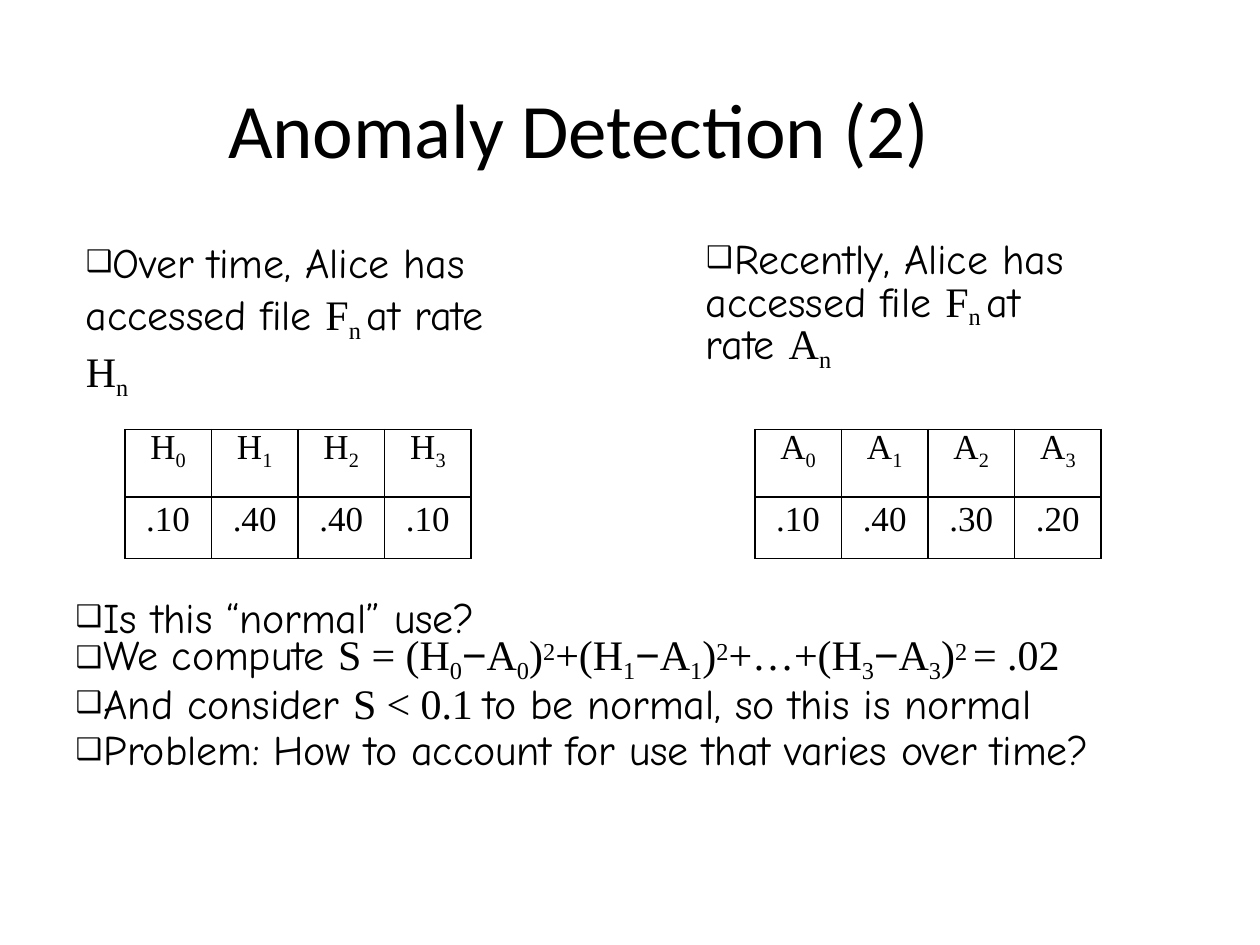
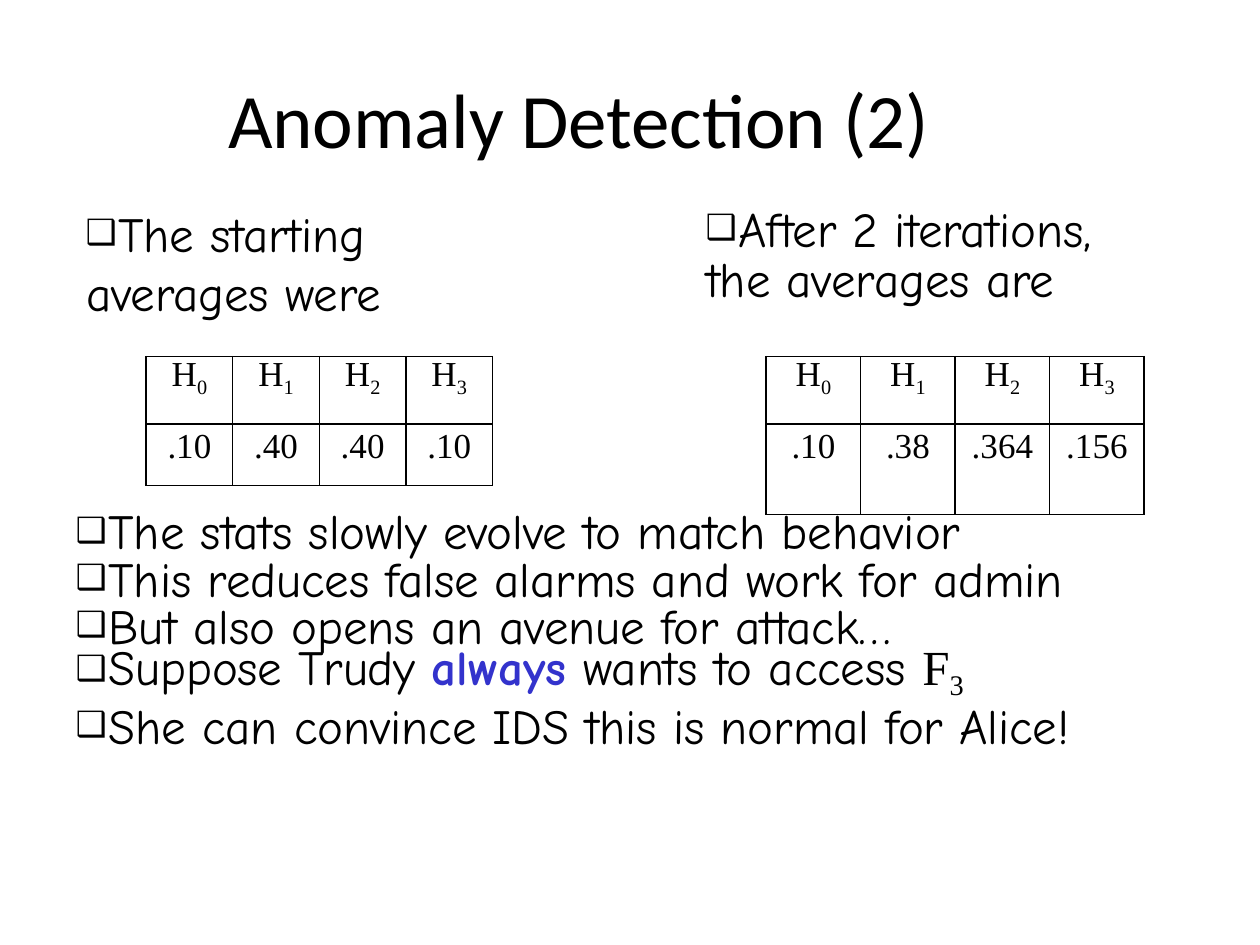
"""Build two slides that compare access-rate tables for anomaly detection."""
import dataclasses
import typing

import lxml.etree
import pptx
import pptx.dml.color
import pptx.enum.text
import pptx.oxml.ns
import pptx.util

Pt = pptx.util.Pt
qn = pptx.oxml.ns.qn
ALIGN = pptx.enum.text.PP_ALIGN
ANCHOR = pptx.enum.text.MSO_ANCHOR
BLACK = "000000"
BLUE = "3333CC"
HAND = "Comic Neue"
SERIF = "Times New Roman"
TITLE = "Anomaly Detection (2)"
MARKS: dict[str, dict[str, typing.Any]] = {
    "$": {"font": SERIF},
    "_": {"font": SERIF, "baseline": -21},
    "^": {"font": SERIF, "baseline": 24},
    "~": {"font": "Arial"},
    "*": {"color": BLUE, "bold": True},
}


@dataclasses.dataclass(frozen=True)
class Block:
    x: float
    y: float
    w: float
    h: float
    lines: tuple[str, ...]
    size: float
    margin: float = 0
    hang: float = 0
    bullet: bool = False
    spacing: tuple[typing.Any, ...] = (1.0,)


@dataclasses.dataclass(frozen=True)
class Rates:
    x: float
    y: float
    letter: str
    values: tuple[str, ...]
    col: float = 49.5
    value_height: float = 35.1


@dataclasses.dataclass(frozen=True)
class Page:
    title_y: float
    leads: tuple[Block, ...]
    tables: tuple[Rates, ...]
    findings: Block


def rgb(value: str) -> pptx.dml.color.RGBColor:
    return pptx.dml.color.RGBColor.from_string(value)


def add_run(p, text: str, *, size: float, font: str = HAND, color: str = BLACK,
            bold: bool = False, baseline: int = 0, tracking: int = -5) -> None:
    r = p.add_run()
    r.text = text
    r.font.size = Pt(size)
    r.font.name = font
    r.font.bold = bold
    r.font.color.rgb = rgb(color)
    props = r._r.get_or_add_rPr()
    props.set("spc", str(tracking))
    if baseline:
        props.set("baseline", str(baseline * 1000))


def add_marked(p, text: str, size: float, tracking: int = -5) -> None:
    for part in text.split("|"):
        marked = part[0] in MARKS
        add_run(p, part[1:] if marked else part, size=size, tracking=tracking,
                **(MARKS[part[0]] if marked else {}))


def add_bullet(p) -> None:
    props = p._p.get_or_add_pPr()
    for tag, key, value in (("a:buSzPct", "val", "71000"),
                            ("a:buFont", "typeface", "Arial"),
                            ("a:buChar", "char", "❑")):
        lxml.etree.SubElement(props, qn(tag)).set(key, value)


def set_frame(sp, x: float, y: float, w: float, h: float, anchor=ANCHOR.TOP):
    sp.left, sp.top, sp.width, sp.height = Pt(x), Pt(y), Pt(w), Pt(h)
    tf = sp.text_frame
    tf.word_wrap = True
    tf.auto_size = pptx.enum.text.MSO_AUTO_SIZE.NONE
    tf.vertical_anchor = anchor
    tf.margin_left = tf.margin_right = tf.margin_bottom = 0
    tf.margin_top = Pt(1)
    return tf


def fill_block(sp, block: Block) -> None:
    tf = set_frame(sp, block.x, block.y, block.w, block.h)
    for i, line in enumerate(block.lines):
        p = tf.paragraphs[0] if i == 0 else tf.add_paragraph()
        p.alignment = ALIGN.LEFT
        p.line_spacing = block.spacing[i]
        p.space_before = Pt(0 if i else 1)
        props = p._p.get_or_add_pPr()
        props.set("marL", str(Pt(block.margin)))
        props.set("indent", str(Pt(-block.hang)))
        if block.bullet:
            add_bullet(p)
        add_marked(p, line, block.size)


def add_borders(cell) -> None:
    props = cell._tc.get_or_add_tcPr()
    for side in "LRTB":
        ln = lxml.etree.SubElement(props, qn(f"a:ln{side}"), w=str(Pt(1)))
        fill = lxml.etree.SubElement(ln, qn("a:solidFill"))
        lxml.etree.SubElement(fill, qn("a:srgbClr"), val=BLACK)


def add_rates(slide, rates: Rates) -> None:
    heights = (38.6, rates.value_height)
    count = len(rates.values)
    table = slide.shapes.add_table(2, count, Pt(rates.x), Pt(rates.y),
                                   Pt(rates.col * count), Pt(sum(heights))).table
    table.first_row = table.horz_banding = False
    for row, height in zip(table.rows, heights):
        row.height = Pt(height)
    for i, value in enumerate(rates.values):
        table.columns[i].width = Pt(rates.col)
        for row, text in enumerate((f"${rates.letter}|_{i}", f"${value}")):
            cell = table.cell(row, i)
            cell.margin_left = cell.margin_right = 0
            cell.margin_top = cell.margin_bottom = 0
            add_borders(cell)
            cell.fill.background()
            p = cell.text_frame.paragraphs[0]
            p.alignment = ALIGN.CENTER
            p.line_spacing = Pt(23.9)
            add_marked(p, text, 20, tracking=5 if row == 0 else 0)


def add_page(prs, page: Page) -> None:
    slide = prs.slides.add_slide(prs.slide_layouts[1])
    title, body = slide.placeholders
    tf = set_frame(title, 130.3, page.title_y, 460, 54.7, ANCHOR.MIDDLE)
    p = tf.paragraphs[0]
    p.alignment = ALIGN.LEFT
    p.space_before = Pt(1)
    add_run(p, TITLE, size=44, font="Calibri")
    fill_block(body, page.findings)
    for lead in page.leads:
        fill_block(slide.shapes.add_textbox(0, 0, 0, 0), lead)
    for rates in page.tables:
        add_rates(slide, rates)


START = (".10", ".40", ".40", ".10")
PAGES = (
    Page(
        45.4,
        (Block(46.1, 133.2, 249.1, 88.6,
               ("Over time, Alice has accessed file |$F|_n |at rate |$H|_n",),
               24, margin=3, bullet=True, spacing=(1.03,)),
         Block(402.5, 131.8, 229.7, 31, ("Recently, Alice has",),
               24, margin=17, hang=16, bullet=True),
         Block(400.3, 156.2, 211.7, 31, ("accessed file |$F|_n |at",), 24, margin=3),
         Block(400.3, 180.7, 86.4, 31, ("rate |$A|_n",), 24, margin=3)),
        (Rates(71.3, 245.5, "H", START),
         Rates(431.3, 245.5, "A", (".10", ".40", ".30", ".20"))),
        Block(38.2, 339.1, 640.8, 104.4,
              ("Is this “normal” use?",
               "We compute |$S = (H|_0|~−|$A|_0|$)|^2|$+(H|_1|~−|$A|_1|$)|^2"
               "|$+…+(H|_3|~−|$A|_3|$)|^2 |$= .02",
               "And consider |$S < 0.1 |to be normal, so this is normal",
               "Problem: How to account for use that varies over time?"),
              24, margin=21, hang=16, bullet=True,
              spacing=(Pt(26.6), Pt(24.5), Pt(24.5), Pt(26.6))),
    ),
    Page(
        39.6,
        (Block(48.2, 115.2, 185, 35.3, ("The starting",),
               28, margin=19.5, hang=18.8, bullet=True),
         Block(48.2, 149, 188.6, 35.3, ("averages were",), 28, margin=1),
         Block(402.5, 112.3, 267, 35.3, ("After 2 iterations,",),
               28, margin=19.5, hang=18.8, bullet=True),
         Block(402.5, 141.1, 221.8, 35.3, ("the averages are",), 28, margin=1)),
        (Rates(83.5, 203.8, "H", START),
         Rates(437.8, 203.8, "H", (".10", ".38", ".364", ".156"),
               col=54, value_height=51.6)),
        Block(38.2, 288.7, 625, 143.3,
              ("The stats slowly evolve to match behavior",
               "This reduces false alarms and work for admin",
               "But also opens an avenue for attack…",
               "Suppose Trudy |*always |wants to access |$F|_3",
               "She can convince IDS this is normal for Alice!"),
              28, margin=23.8, hang=18.8, bullet=True,
              spacing=(Pt(30.2), Pt(26.9), Pt(26.9), Pt(26.9), Pt(30.2))),
    ),
)


def main() -> None:
    prs = pptx.Presentation()
    prs.slide_width, prs.slide_height = Pt(720), Pt(540)
    for page in PAGES:
        add_page(prs, page)
    prs.save("out.pptx")


if __name__ == "__main__":
    main()
